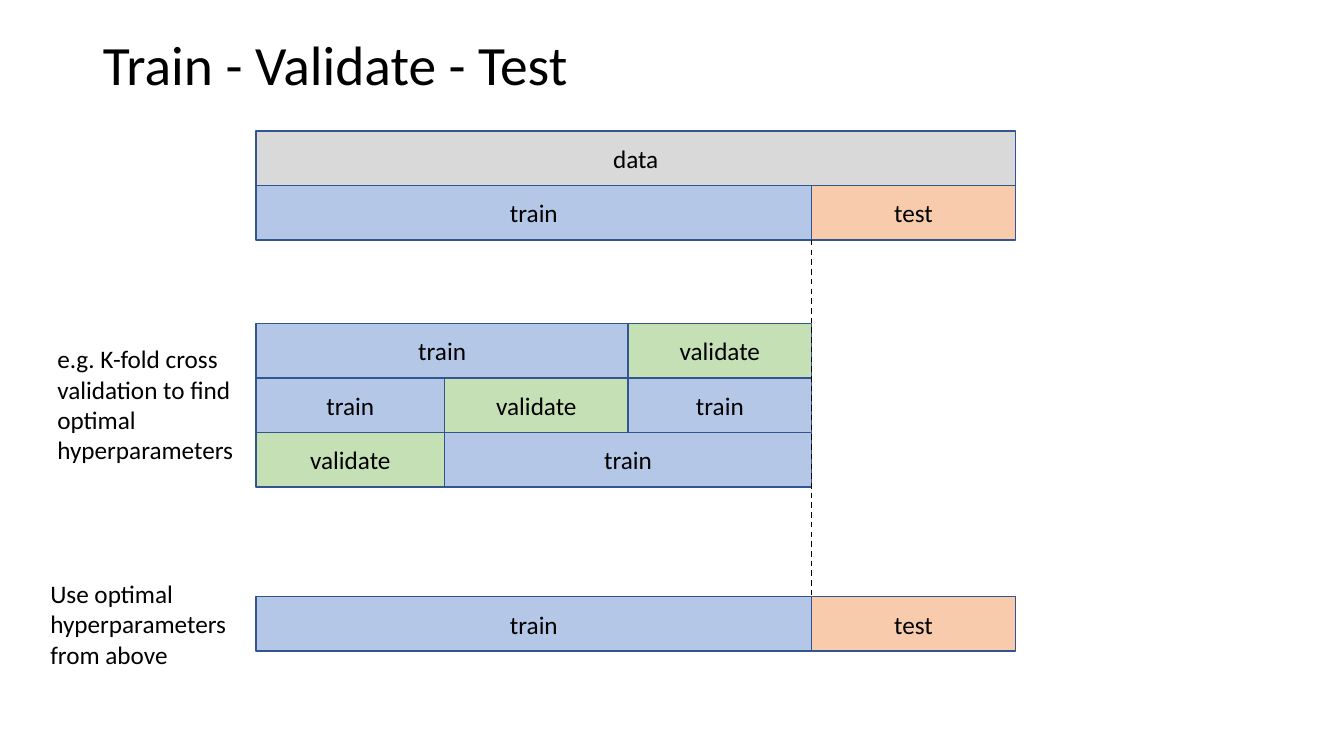
from typing import NamedTuple

from lxml import etree
from pptx import Presentation
from pptx import util as u
from pptx.dml.color import RGBColor
from pptx.enum import dml, shapes, text
from pptx.oxml.ns import qn

Inches = u.Inches
FONT = "Calibri"
COLORS = {
    "data": "D9D9D9",
    "train": "B4C7E7",
    "validate": "C5E0B4",
    "test": "F8CBAD",
    "border": "325491",
    "ink": "000000",
}

# Column edges shared by all rows of blocks
START, FOLD_1, FOLD_2, SPLIT, END = 2.54, 4.41, 6.23, 8.05, 10.07
ROW_H = 0.54
DATA_TOP, FOLDS_TOP, FINAL_TOP = 1.3, 3.21, 5.92


class Block(NamedTuple):
    """A labelled span between two column edges; the label picks the fill."""
    label: str
    left: float
    right: float


class Row(NamedTuple):
    """Blocks that share one top edge."""
    top: float
    blocks: list[Block]


class Note(NamedTuple):
    """A remark beside the rows."""
    words: str
    left: float
    top: float
    width: float
    height: float


SPLIT_BLOCKS = [Block("train", START, SPLIT), Block("test", SPLIT, END)]
FOLDS = [
    [Block("train", START, FOLD_2), Block("validate", FOLD_2, SPLIT)],
    [Block("train", START, FOLD_1), Block("validate", FOLD_1, FOLD_2),
     Block("train", FOLD_2, SPLIT)],
    [Block("validate", START, FOLD_1), Block("train", FOLD_1, SPLIT)],
]
ROWS = [
    Row(DATA_TOP, [Block("data", START, END)]),
    Row(DATA_TOP + ROW_H, SPLIT_BLOCKS),
    *(Row(FOLDS_TOP + i * ROW_H, fold) for i, fold in enumerate(FOLDS)),
    Row(FINAL_TOP, SPLIT_BLOCKS),
]
NOTES = [
    Note("e.g. K-fold cross validation to find optimal hyperparameters",
         0.47, 3.36, 1.96, 1.31),
    Note("Use optimal hyperparameters from above", 0.4, 5.69, 2.02, 1.01),
]


def rgb(name: str) -> RGBColor:
    """Look up a named colour."""
    return RGBColor.from_string(COLORS[name])


def write(tf, words: str, size: float, align) -> None:
    """Fill a text frame with one formatted paragraph."""
    tf.text = words
    tf.word_wrap = True
    p = tf.paragraphs[0]
    p.alignment = align
    f = p.runs[0].font
    f.name, f.size = FONT, u.Pt(size)
    f.color.rgb = rgb("ink")


def add_title(s, words: str) -> None:
    """Place and format the title placeholder."""
    sp = s.shapes.title
    sp.left, sp.top = Inches(0.92), Inches(0.4)
    sp.width, sp.height = Inches(11.5), Inches(0.54)
    tf = sp.text_frame
    write(tf, words, 39.6, text.PP_ALIGN.LEFT)
    tf.auto_size = text.MSO_AUTO_SIZE.NONE
    tf.vertical_anchor = text.MSO_ANCHOR.MIDDLE
    tf.paragraphs[0].line_spacing = 0.9


def add_block(s, block: Block, top: float) -> None:
    """Draw one labelled rectangle."""
    sp = s.shapes.add_shape(
        shapes.MSO_SHAPE.RECTANGLE, Inches(block.left), Inches(top),
        Inches(block.right - block.left), Inches(ROW_H))
    sp.shadow.inherit = False
    sp.fill.solid()
    sp.fill.fore_color.rgb = rgb(block.label)
    sp.line.color.rgb = rgb("border")
    sp.line.width = u.Pt(1)
    write(sp.text_frame, block.label, 18, text.PP_ALIGN.CENTER)
    sp.text_frame.vertical_anchor = text.MSO_ANCHOR.MIDDLE


def add_note(s, note: Note) -> None:
    """Draw one wrapped remark."""
    sp = s.shapes.add_textbox(Inches(note.left), Inches(note.top),
                              Inches(note.width), Inches(note.height))
    write(sp.text_frame, note.words, 18, text.PP_ALIGN.LEFT)
    sp.text_frame.auto_size = text.MSO_AUTO_SIZE.SHAPE_TO_FIT_TEXT


def add_split_line(s, top: float, bottom: float) -> None:
    """Draw the dashed line that continues the train/test split."""
    line = s.shapes.add_connector(
        shapes.MSO_CONNECTOR.STRAIGHT, Inches(SPLIT), Inches(top),
        Inches(SPLIT), Inches(bottom))
    line.line.color.rgb = rgb("ink")
    line.line.width = u.Pt(1)
    line.line.dash_style = dml.MSO_LINE.DASH
    etree.SubElement(line._element.spPr, qn("a:effectLst"))


def main() -> None:
    """Build and save the slide."""
    prs = Presentation()
    prs.slide_width, prs.slide_height = Inches(13.33), Inches(7.5)
    s = prs.slides.add_slide(prs.slide_layouts.get_by_name("Title Only"))
    add_title(s, "Train - Validate - Test")
    for row in ROWS:
        for block in row.blocks:
            add_block(s, block, row.top)
    for note in NOTES:
        add_note(s, note)
    add_split_line(s, DATA_TOP + 2 * ROW_H, FINAL_TOP)
    prs.save("out.pptx")


main()
